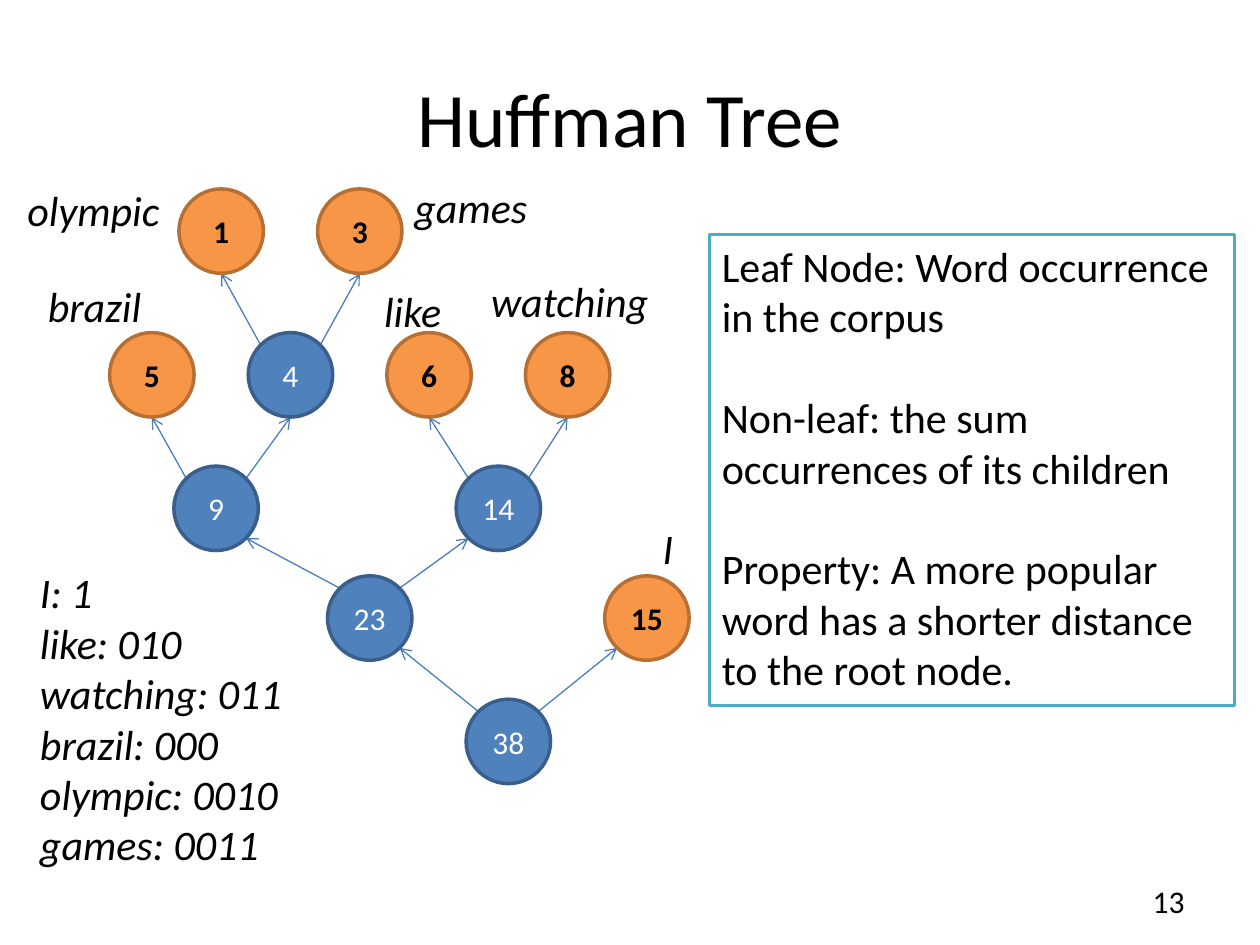
from math import sqrt

from lxml import etree
from pptx import Presentation
from pptx.dml.color import RGBColor
from pptx.enum.shapes import MSO_CONNECTOR as CONN, MSO_SHAPE as SHAPE
from pptx.enum.text import MSO_ANCHOR as ANCHOR, PP_ALIGN as ALIGN
from pptx.oxml.ns import qn
from pptx.util import Pt

FONT = "Calibri"
BLACK, WHITE = "000000", "FFFFFF"
LEAF_FILL, LEAF_LINE = "F79646", "B76F34"
INNER_FILL, INNER_LINE = "4F81BD", "3A5F8C"
EDGE_COLOR, NOTE_LINE = "4B7EBC", "4BACC6"
DIAMETER = 48.24
RADIUS = DIAMETER / 2
DIAGONAL = RADIUS / sqrt(2)
BOTTOM, SIDE = "bottom", "side"

# occurrence count: centre x, centre y
NODES = {
    1: (126.4, 132.1), 3: (205.6, 132.1),
    5: (86.8, 214.2), 4: (166, 214.2), 6: (245.2, 214.2), 8: (324.4, 214.2),
    9: (123.5, 290.5), 14: (284.8, 290.5),
    23: (211.3, 353.2), 15: (369.7, 353.2),
    38: (290.5, 423.7),
}
# parent: left child, right child, where the arrows reach the children
CHILDREN = {
    38: (23, 15, SIDE),
    23: (9, 14, SIDE),
    14: (6, 8, BOTTOM),
    9: (5, 4, BOTTOM),
    4: (1, 3, BOTTOM),
}
# word, left, top, width
WORDS = [
    ("brazil", 20.2, 157, 90),
    ("olympic", 8.6, 102.2, 90),
    ("games", 229.7, 100.1, 90),
    ("like", 212.4, 159.8, 90),
    ("watching", 273.6, 154.1, 159),
    ("I", 371.5, 295.2, 90),
]
CODES = ["I: 1", "like: 010", "watching: 011", "brazil: 000",
         "olympic: 0010", "games: 0011"]
# text, space before
NOTES = [
    ("Leaf Node: Word occurrence", 0),
    ("in the corpus", 0),
    ("Non-leaf: the sum occurrences of its children", 28.8),
    ("Property: A more popular word has a shorter distance to the root node.", 28.8),
]


def rgb(color):
    return RGBColor.from_string(color)


def write(sp, lines, size=24, color=BLACK, bold=False, italic=False,
          align=ALIGN.LEFT, anchor=ANCHOR.TOP):
    """Fill a shape with (text, space before) paragraphs."""
    tf = sp.text_frame
    tf.word_wrap = True
    tf.vertical_anchor = anchor
    for i, (text, before) in enumerate(lines):
        p = tf.add_paragraph() if i else tf.paragraphs[0]
        p.alignment = align
        if before:
            p.space_before = Pt(before)
        r = p.add_run()
        r.text = text
        font = r.font
        font.name, font.size = FONT, Pt(size)
        font.bold, font.italic = bold, italic
        font.color.rgb = rgb(color)


def add_text(s, box, lines, **style):
    write(s.shapes.add_textbox(*map(Pt, box)), lines, **style)


def add_outlined(s, kind, box, fill, line):
    sp = s.shapes.add_shape(kind, *map(Pt, box))
    sp.shadow.inherit = False
    sp.fill.solid()
    sp.fill.fore_color.rgb = rgb(fill)
    sp.line.color.rgb = rgb(line)
    sp.line.width = Pt(2)
    return sp


def add_node(s, count, x, y):
    leaf = count not in CHILDREN
    fill, line = (LEAF_FILL, LEAF_LINE) if leaf else (INNER_FILL, INNER_LINE)
    box = (x - RADIUS, y - RADIUS, DIAMETER, DIAMETER)
    sp = add_outlined(s, SHAPE.OVAL, box, fill, line)
    tf = sp.text_frame
    tf.margin_left = tf.margin_right = 0
    write(sp, [(str(count), 0)], size=18, color=BLACK if leaf else WHITE,
          bold=leaf, align=ALIGN.CENTER, anchor=ANCHOR.MIDDLE)


def add_edge(s, parent, child, side, target):
    """Draw an arrow to a child; side is -1 for left and 1 for right."""
    (x1, y1), (x2, y2) = NODES[parent], NODES[child]
    start = (x1 + side * DIAGONAL, y1 - DIAGONAL)
    if target == BOTTOM:
        end = (x2, y2 + RADIUS)
    else:
        end = (x2 - side * DIAGONAL, y2 + DIAGONAL)
    edge = s.shapes.add_connector(CONN.STRAIGHT, *map(Pt, start + end))
    edge.line.color.rgb = rgb(EDGE_COLOR)
    edge.line.width = Pt(0.75)
    etree.SubElement(edge.line._get_or_add_ln(), qn("a:tailEnd"), type="arrow")
    etree.SubElement(edge._element.spPr, qn("a:effectLst"))


def main():
    prs = Presentation()
    prs.slide_width, prs.slide_height = Pt(720), Pt(540)
    s = prs.slides.add_slide(prs.slide_layouts[6])

    add_text(s, (36, 21.6, 648, 90), [("Huffman Tree", 0)], size=44,
             align=ALIGN.CENTER, anchor=ANCHOR.MIDDLE)
    for parent, (left, right, target) in CHILDREN.items():
        add_edge(s, parent, left, -1, target)
        add_edge(s, parent, right, 1, target)
    for count, (x, y) in NODES.items():
        add_node(s, count, x, y)
    for word, x, y, width in WORDS:
        add_text(s, (x, y, width, 36), [(word, 0)], italic=True)

    note = add_outlined(s, SHAPE.RECTANGLE, (405.4, 133.9, 300.2, 269.3),
                        WHITE, NOTE_LINE)
    write(note, NOTES)
    add_text(s, (516.2, 500.4, 167.8, 28.8), [("13", 0)], size=18,
             align=ALIGN.RIGHT, anchor=ANCHOR.MIDDLE)
    add_text(s, (15.8, 320.4, 208, 181.4), [(code, 0) for code in CODES],
             italic=True)
    prs.save("out.pptx")


if __name__ == "__main__":
    main()
